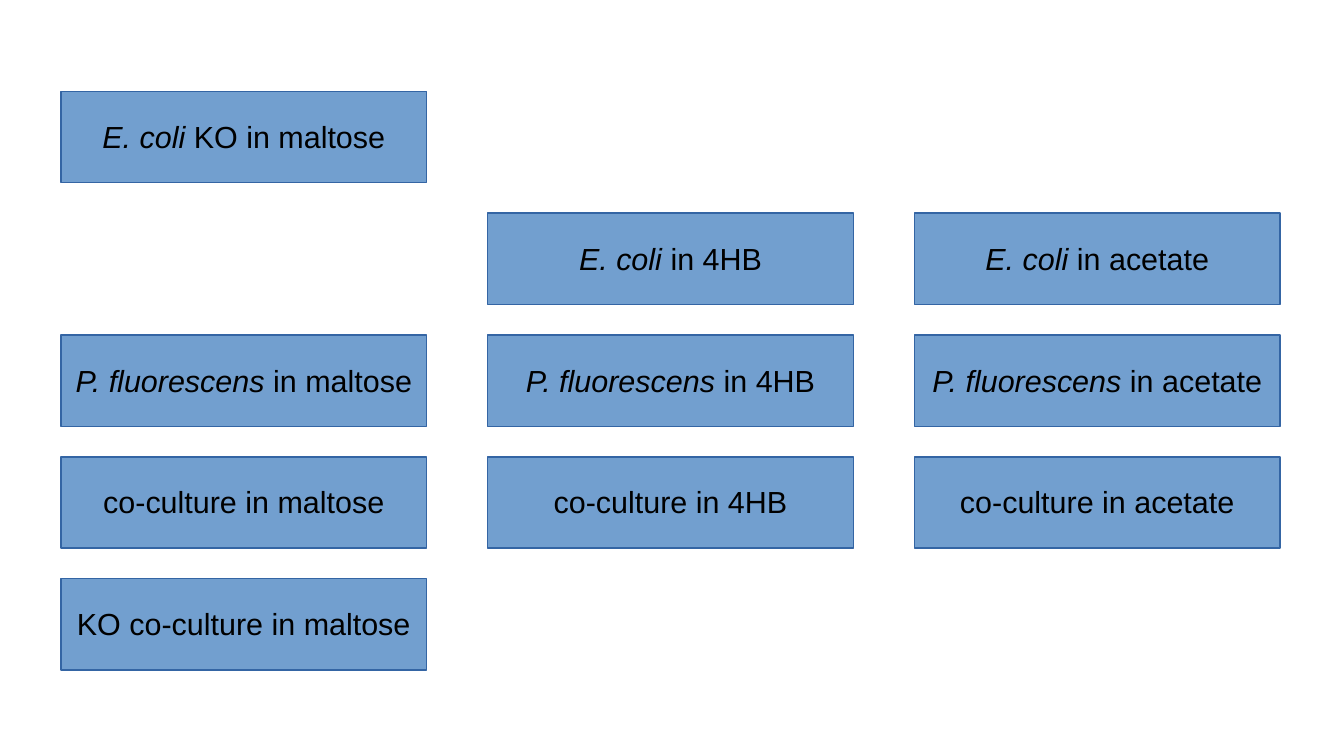
from pptx import Presentation
from pptx.dml.color import RGBColor
from pptx.enum.shapes import MSO_SHAPE as Shape
from pptx.enum.text import MSO_ANCHOR as Anchor, PP_ALIGN as Align
from pptx.util import Cm, Pt

# Each culture is (species in italics, plain text); None leaves a cell empty.
CULTURES = [
    [("E. coli", " KO in maltose"), None, None],
    [None, ("E. coli", " in 4HB"), ("E. coli", " in acetate")],
    [("P. fluorescens", " in maltose"), ("P. fluorescens", " in 4HB"),
     ("P. fluorescens", " in acetate")],
    [("", "co-culture in maltose"), ("", "co-culture in 4HB"),
     ("", "co-culture in acetate")],
    [("", "KO co-culture in maltose"), None, None],
]
COLORS = {"fill": "729FCF", "line": "3465A4", "text": "000000"}
FONT = "Arial"

SLIDE_WIDTH, SLIDE_HEIGHT = Cm(28), Cm(15.75)
LEFT, TOP = Cm(1.27), Cm(1.9)
BOX_WIDTH, BOX_HEIGHT = Cm(7.62), Cm(1.9)
COLUMN_STEP, ROW_STEP = Cm(8.89), Cm(2.54)


def color(name):
    return RGBColor.from_string(COLORS[name])


def add_culture_box(slide, left, top, species, description):
    shape = slide.shapes.add_shape(Shape.RECTANGLE, left, top, BOX_WIDTH, BOX_HEIGHT)
    shape.shadow.inherit = False
    shape.fill.solid()
    shape.fill.fore_color.rgb = color("fill")
    shape.line.color.rgb = color("line")
    shape.line.width = Pt(0.75)

    text_frame = shape.text_frame
    text_frame.word_wrap = True
    text_frame.vertical_anchor = Anchor.MIDDLE
    text_frame.margin_left = text_frame.margin_right = Cm(0.25)
    text_frame.margin_top, text_frame.margin_bottom = Cm(0.18), Cm(0.13)

    paragraph = text_frame.paragraphs[0]
    paragraph.alignment = Align.CENTER
    paragraph.line_spacing = 0.93
    for text, italic in ((species, True), (description, False)):
        if text:
            run = paragraph.add_run()
            run.text = text
            run.font.name = FONT
            run.font.size = Pt(18)
            run.font.italic = italic
            run.font.color.rgb = color("text")


def main():
    presentation = Presentation()
    presentation.slide_width = SLIDE_WIDTH
    presentation.slide_height = SLIDE_HEIGHT
    slide = presentation.slides.add_slide(presentation.slide_layouts[6])
    for row, cultures in enumerate(CULTURES):
        for column, culture in enumerate(cultures):
            if culture:
                add_culture_box(slide, LEFT + column * COLUMN_STEP,
                                TOP + row * ROW_STEP, *culture)
    presentation.save("out.pptx")


if __name__ == "__main__":
    main()
